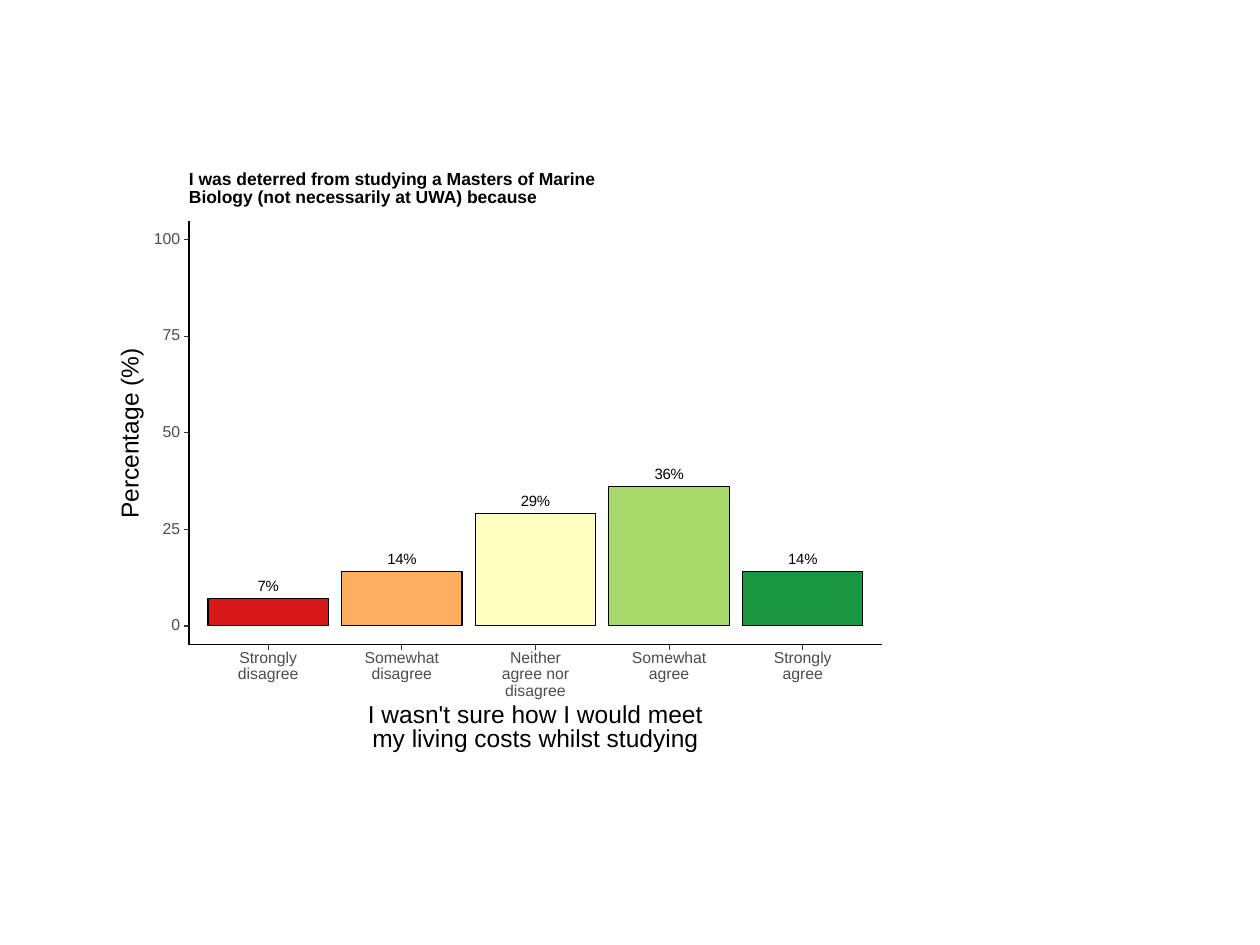
from lxml.etree import SubElement
from pptx import Presentation
from pptx.chart.data import CategoryChartData
from pptx.dml.color import RGBColor as RGB
from pptx.enum.chart import XL_CHART_TYPE as ChartType, XL_LABEL_POSITION as LabelPos
from pptx.enum.shapes import MSO_CONNECTOR as Connector
from pptx.enum.text import MSO_ANCHOR as Anchor, PP_ALIGN as Align
from pptx.oxml import parse_xml
from pptx.oxml.ns import nsdecls, qn
from pptx.util import Cm, Pt

TITLE = ["I was deterred from studying a Masters of Marine",
         "Biology (not necessarily at UWA) because"]
X_TITLE = ["I wasn't sure how I would meet", "my living costs whilst studying"]
Y_TITLE = ["Percentage (%)"]
ANSWERS = [
    (["Strongly", "disagree"], 7, "D7191C"),
    (["Somewhat", "disagree"], 14, "FDAE61"),
    (["Neither", "agree nor", "disagree"], 29, "FFFFBF"),
    (["Somewhat", "agree"], 36, "A6D96A"),
    (["Strongly", "agree"], 14, "1A9641"),
]
TICKS = [0, 25, 50, 75, 100]

THEME = {
    "font": "Arial", "ink": "000000", "label": "4D4D4D", "tick": "333333",
    "title_pt": 10, "axis_title_pt": 14, "label_pt": 9, "value_pt": 8.5, "line_pt": 0.64,
}

LEFT, TOP, WIDTH, HEIGHT = 3.81, 4.45, 13.97, 8.55
RIGHT, BOTTOM = LEFT + WIDTH, TOP + HEIGHT
PAD_X, PAD_Y = 0.25, 0.38
PLOT_W, PLOT_H = WIDTH - 2 * PAD_X, HEIGHT - 2 * PAD_Y
STEP = PLOT_W / len(ANSWERS)
TICK = 0.1


def add_text(slide, lines, x, y, w, h, size, color, align=Align.CENTER,
             spacing=None, bold=False, rotation=0):
    s = slide.shapes.add_textbox(Cm(x), Cm(y), Cm(w), Cm(h))
    s.rotation = rotation
    tf = s.text_frame
    tf.margin_left = tf.margin_right = tf.margin_top = tf.margin_bottom = 0
    tf.vertical_anchor = Anchor.MIDDLE
    tf.word_wrap = True
    tf.text = "\n".join(lines)
    for p in tf.paragraphs:
        p.alignment = align
        p.line_spacing = Pt(spacing or size)
        for r in p.runs:
            r.font.name, r.font.size, r.font.bold = THEME["font"], Pt(size), bold
            r.font.color.rgb = RGB.from_string(color)


def add_line(slide, x1, y1, x2, y2, color):
    s = slide.shapes.add_connector(Connector.STRAIGHT, Cm(x1), Cm(y1), Cm(x2), Cm(y2))
    s.line.width = Pt(THEME["line_pt"])
    s.line.color.rgb = RGB.from_string(color)
    SubElement(s._element.spPr, qn("a:effectLst"))


def add_bars(slide):
    data = CategoryChartData(number_format='0"%"')
    data.categories = [" ".join(lines) for lines, _, _ in ANSWERS]
    data.add_series(Y_TITLE[0], [value for _, value, _ in ANSWERS])
    chart = slide.shapes.add_chart(ChartType.COLUMN_CLUSTERED, Cm(LEFT), Cm(TOP),
                                   Cm(WIDTH), Cm(HEIGHT), data).chart
    chart.has_legend = chart.has_title = False
    chart.font.name = THEME["font"]
    chart.font.size = Pt(THEME["value_pt"])
    chart.font.color.rgb = RGB.from_string(THEME["ink"])
    axis = chart.value_axis
    axis.minimum_scale, axis.maximum_scale = TICKS[0], TICKS[-1]
    axis.has_major_gridlines = False
    axis.visible = chart.category_axis.visible = False

    plot = chart.plots[0]
    plot.gap_width = 11
    plot.vary_by_categories = False
    plot.has_data_labels = True
    labels = plot.data_labels
    labels.show_value = True
    labels.position = LabelPos.OUTSIDE_END
    labels.number_format, labels.number_format_is_linked = '0"%"', False
    for i, (_, _, color) in enumerate(ANSWERS):
        bar = plot.series[0].points[i].format
        bar.fill.solid()
        bar.fill.fore_color.rgb = RGB.from_string(color)
        bar.line.width = Pt(THEME["line_pt"])
        bar.line.color.rgb = RGB.from_string(THEME["ink"])

    sizes = {"x": PAD_X / WIDTH, "y": PAD_Y / HEIGHT, "w": PLOT_W / WIDTH, "h": PLOT_H / HEIGHT}
    parts = "".join(f'<c:{k}Mode val="edge"/>' for k in "xy")
    parts += "".join(f'<c:{k} val="{v:.4f}"/>' for k, v in sizes.items())
    area = chart._chartSpace.chart.plotArea
    for old in area.findall(qn("c:layout")):
        area.remove(old)
    area.insert(0, parse_xml(
        f'<c:layout {nsdecls("c")}><c:manualLayout><c:layoutTarget val="inner"/>'
        f'{parts}</c:manualLayout></c:layout>'))


def add_axes(slide):
    add_line(slide, LEFT, BOTTOM, LEFT, TOP, THEME["ink"])
    add_line(slide, LEFT, BOTTOM, RIGHT, BOTTOM, THEME["ink"])
    size, color = THEME["label_pt"], THEME["label"]
    for tick in TICKS:
        y = BOTTOM - PAD_Y - PLOT_H * tick / TICKS[-1]
        add_line(slide, LEFT - TICK, y, LEFT, y, THEME["tick"])
        add_text(slide, [str(tick)], LEFT - 1.18, y - 0.16, 1, 0.32, size, color, Align.RIGHT)
    for i, (lines, _, _) in enumerate(ANSWERS):
        x = LEFT + PAD_X + STEP * (i + 0.5)
        add_line(slide, x, BOTTOM, x, BOTTOM + TICK, THEME["tick"])
        add_text(slide, lines, x - STEP / 2, BOTTOM + 0.1, STEP, 0.335 * len(lines),
                 size, color, spacing=9.5)


def main():
    prs = Presentation()
    prs.slide_width, prs.slide_height = Cm(25.4), Cm(19.05)
    slide = prs.slides.add_slide(prs.slide_layouts[6])
    add_bars(slide)
    add_axes(slide)
    ink, size = THEME["ink"], THEME["axis_title_pt"]
    add_text(slide, X_TITLE, LEFT, 14.19, WIDTH, 0.97, size, ink, spacing=13.7)
    add_text(slide, Y_TITLE, 0.65, 8.5, 4, 0.48, size, ink, rotation=270)
    add_text(slide, TITLE, LEFT, 3.42, WIDTH, 0.76, THEME["title_pt"], ink,
             Align.LEFT, spacing=10.8, bold=True)
    prs.save("out.pptx")


if __name__ == "__main__":
    main()
